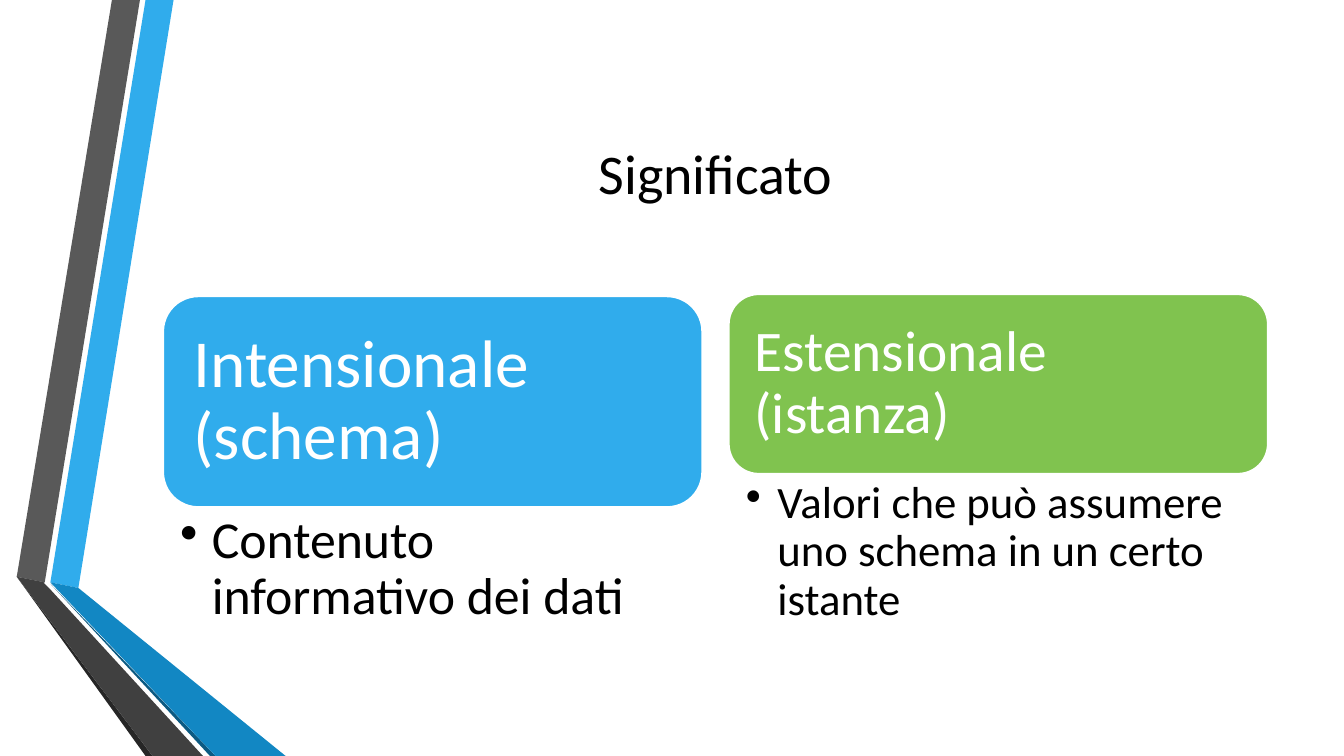
from lxml import etree
from pptx import Presentation
from pptx.dml.color import RGBColor
from pptx.enum.shapes import MSO_SHAPE
from pptx.enum.text import MSO_ANCHOR, PP_ALIGN
from pptx.oxml.ns import qn
from pptx.util import Pt

ROUNDED = MSO_SHAPE.ROUNDED_RECTANGLE
TOP, MIDDLE = MSO_ANCHOR.TOP, MSO_ANCHOR.MIDDLE
LEFT, CENTER = PP_ALIGN.LEFT, PP_ALIGN.CENTER


def color(hex_string):
    return RGBColor.from_string(hex_string)


def write(box, text, size, hex_string, anchor, align, insets, spacing=0.9, bullet_indent=0):
    frame = box.text_frame
    frame.word_wrap = True
    frame.vertical_anchor = anchor
    frame.margin_left, frame.margin_top, frame.margin_right, frame.margin_bottom = map(Pt, insets)
    para = frame.paragraphs[0]
    para.text = text
    para.alignment = align
    para.line_spacing = spacing
    if bullet_indent:
        properties = para._p.get_or_add_pPr()
        properties.set("marL", str(Pt(bullet_indent)))
        properties.set("indent", str(-Pt(bullet_indent)))
        etree.SubElement(properties, qn("a:buChar")).set("char", "•")
    span = para.runs[0]
    span.font.name = "Calibri"
    span.font.size = Pt(size)
    span.font.color.rgb = color(hex_string)


deck = Presentation()
deck.slide_width, deck.slide_height = Pt(960), Pt(540)
page = deck.slides.add_slide(deck.slide_layouts[6])

# Folded ribbons on the left edge
ribbons = [
    ("30ACEC", [(36, 416.5), (55.8, 420), (124.5, 0), (104.5, 0)]),
    ("595959", [(100, 0), (80, 0), (11.8, 412.5), (31.8, 415.5)]),
    ("262626", [(11.8, 412.5), (104.5, 540), (109, 540)]),
    ("0C5A82", [(36, 416.9), (149.8, 540), (154, 540)]),
    ("1287C3", [(36, 416.5), (154, 540), (204, 540), (55.8, 420)]),
    ("404040", [(145.4, 540), (34.6, 420), (31.2, 416), (31.8, 415.5), (11.8, 412.5), (109, 540)]),
]
for fill, points in ribbons:
    builder = page.shapes.build_freeform(*points[0], scale=Pt(1))
    builder.add_line_segments(points[1:], close=True)
    ribbon = builder.convert_to_shape()
    ribbon.shadow.inherit = False
    ribbon.fill.solid()
    ribbon.fill.fore_color.rgb = color(fill)
    ribbon.line.fill.background()

# Title
title = page.shapes.add_textbox(Pt(116.6), Pt(54), Pt(789), Pt(138))
write(title, "Significato", 40, "000000", MIDDLE, CENTER, (7.2, 3.6, 7.2, 3.6), spacing=1)

# Two columns: coloured heading with a bullet below it
column_width = 385
columns = [
    (116.6, 211.7, 150.5, 92, "30ACEC", "Intensionale (schema)", 48, 14.4,
     "Contenuto informativo dei dati", 37, (12.2, 5, 26.6, 5)),
    (520.6, 210.2, 128.2, 116.6, "80C34F", "Estensionale (istanza)", 41, 12.2,
     "Valori che può assumere uno schema in un certo istante", 32, (12.2, 4.3, 23, 4.3)),
]
for (left, top, heading_height, body_height, fill, heading_text, heading_size, heading_inset,
     body_text, body_size, body_insets) in columns:
    heading = page.shapes.add_shape(ROUNDED, Pt(left), Pt(top), Pt(column_width), Pt(heading_height))
    heading.shadow.inherit = False
    heading.fill.solid()
    heading.fill.fore_color.rgb = color(fill)
    heading.line.color.rgb = color("FFFFFF")
    heading.line.width = Pt(1.25)
    write(heading, heading_text, heading_size, "FFFFFF", MIDDLE, LEFT, [heading_inset] * 4)

    body = page.shapes.add_textbox(Pt(left), Pt(top + heading_height), Pt(column_width), Pt(body_height))
    write(body, body_text, body_size, "000000", TOP, LEFT, body_insets, bullet_indent=22.5)

deck.save("out.pptx")
